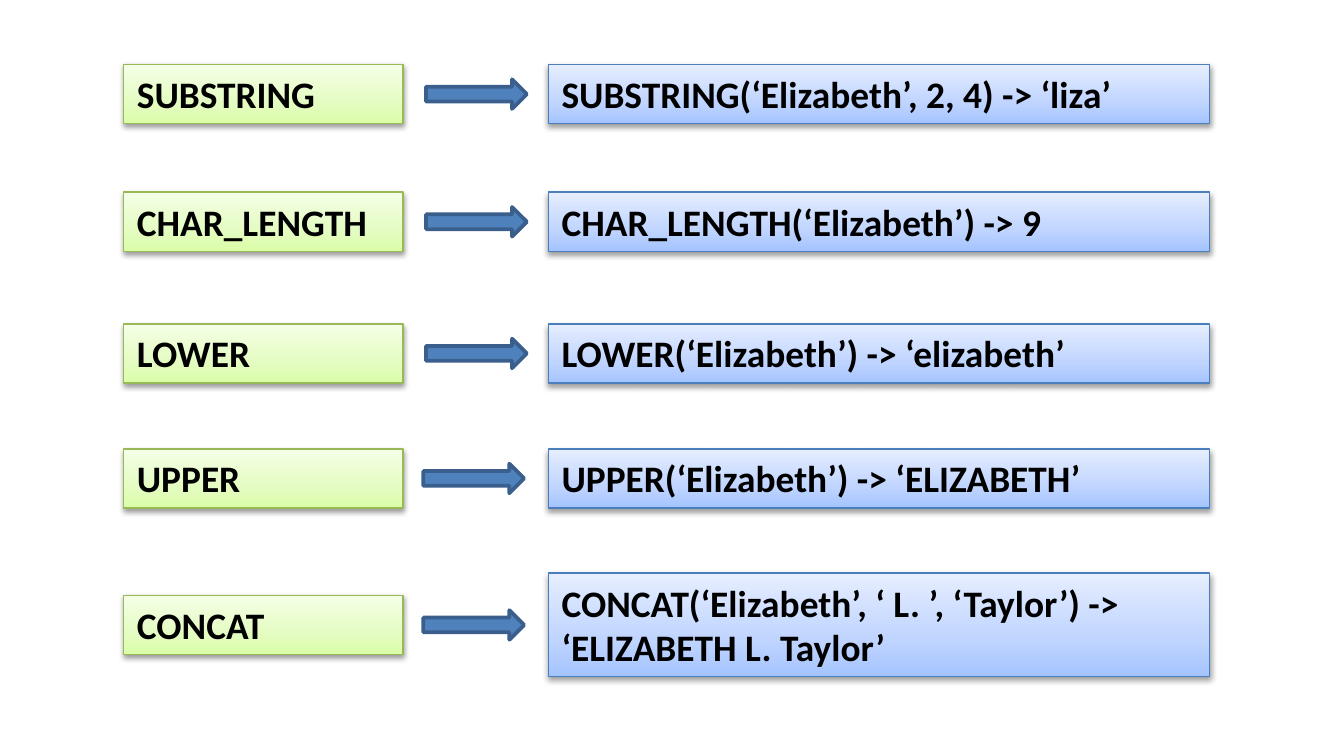
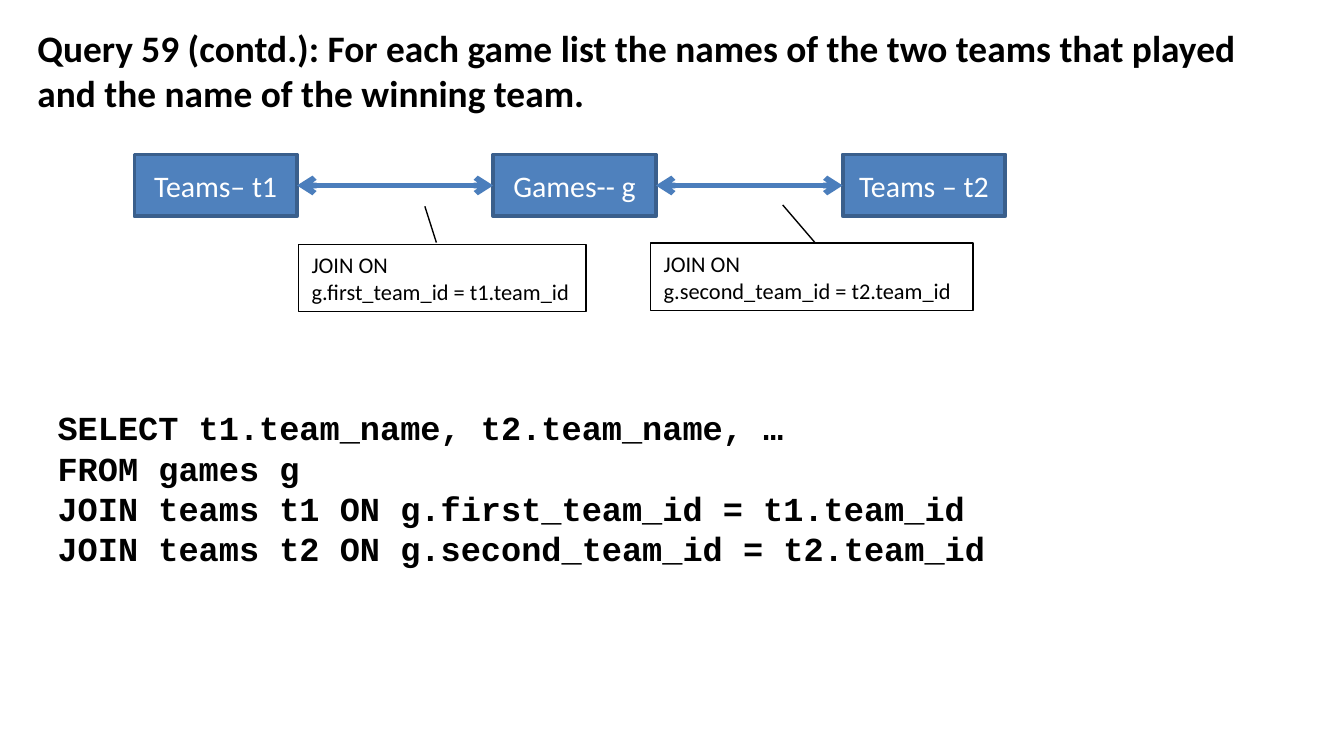
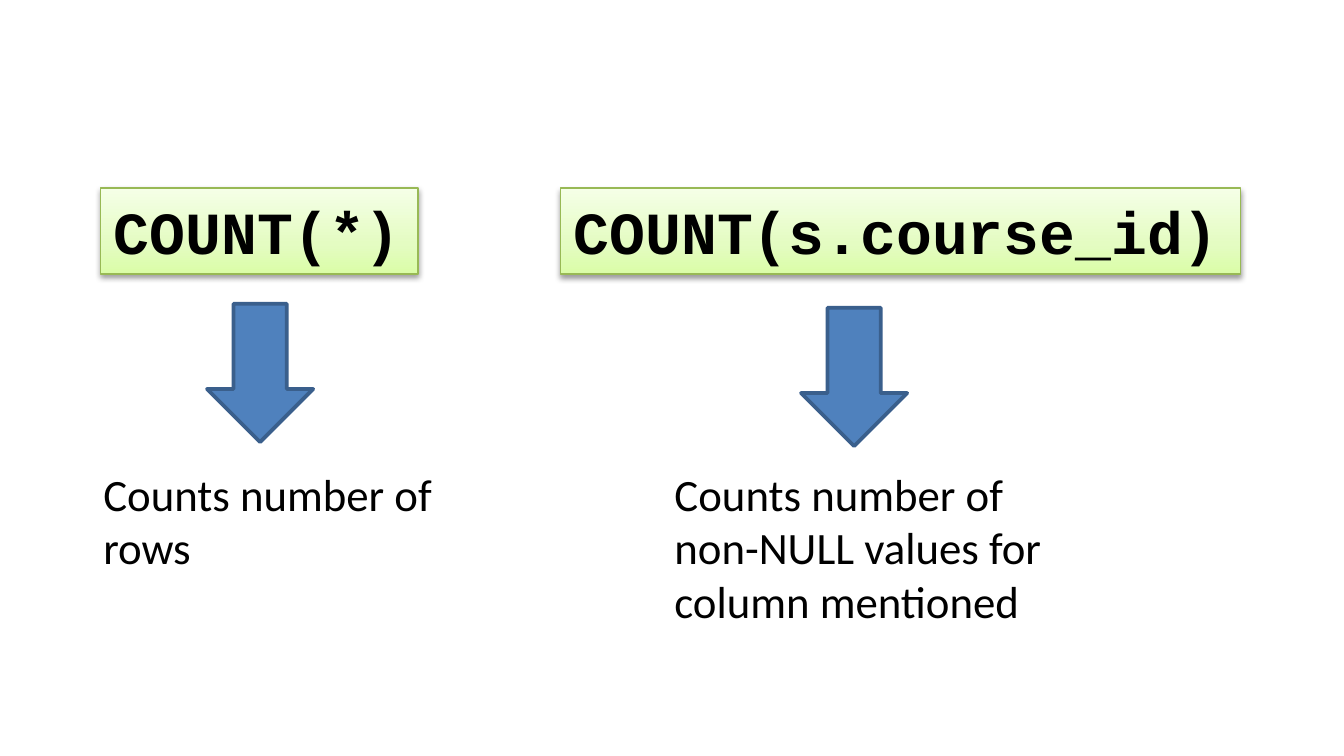
from pptx import Presentation
from pptx.dml.color import RGBColor
from pptx.enum.shapes import MSO_CONNECTOR, MSO_SHAPE
from pptx.enum.text import MSO_ANCHOR, MSO_AUTO_SIZE, PP_ALIGN
from pptx.oxml.ns import qn
from pptx.util import Inches, Pt
from lxml.etree import SubElement

# Shared look
BLACK = RGBColor(0x00, 0x00, 0x00)
WHITE = RGBColor(0xFF, 0xFF, 0xFF)
BLUE = RGBColor(0x4F, 0x81, 0xBD)
BLUE_EDGE = RGBColor(0x3A, 0x5F, 0x8C)
BLUE_LINE = RGBColor(0x4B, 0x7E, 0xBC)
GREEN_LINE = RGBColor(0x98, 0xB9, 0x55)
GREEN_SHADES = (RGBColor(0xDA, 0xFD, 0xA7), RGBColor(0xE4, 0xFC, 0xC2), RGBColor(0xF5, 0xFF, 0xE7))
BLUE_SHADES = (RGBColor(0xA4, 0xC4, 0xFF), RGBColor(0xBF, 0xD4, 0xFF), RGBColor(0xE6, 0xEE, 0xFF))
SHADE_STOPS = (0, 35, 100)
BODY_FONT = "Calibri"
CODE_FONT = "Courier New"


def write(shape, text, size, font=BODY_FONT, bold=False, color=BLACK, wrap=True, centered=False):
    """Fill a shape with text; centered labels keep their size, others fit their text."""
    frame = shape.text_frame
    frame.text = text
    frame.word_wrap = wrap
    frame.vertical_anchor = MSO_ANCHOR.MIDDLE if centered else MSO_ANCHOR.TOP
    frame.auto_size = MSO_AUTO_SIZE.NONE if centered else MSO_AUTO_SIZE.SHAPE_TO_FIT_TEXT
    for para in frame.paragraphs:
        para.alignment = PP_ALIGN.CENTER if centered else PP_ALIGN.LEFT
        for span in para.runs:
            span.font.size = Pt(size)
            span.font.name = font
            span.font.bold = bold
            span.font.color.rgb = color


def add_text(page, box, text, size, **style):
    write(page.shapes.add_textbox(*map(Inches, box)), text, size, **style)


def add_outlined(page, kind, box, line_color, line_width):
    shape = page.shapes.add_shape(kind, *map(Inches, box))
    shape.shadow.inherit = False
    shape.line.color.rgb = line_color
    shape.line.width = Pt(line_width)
    return shape


def add_solid(page, kind, box):
    shape = add_outlined(page, kind, box, BLUE_EDGE, 2)
    shape.fill.solid()
    shape.fill.fore_color.rgb = BLUE
    return shape


def add_shaded_box(page, box, text, size, shades, line_color, **style):
    """Rectangle with an upward gradient and a soft shadow below."""
    shape = add_outlined(page, MSO_SHAPE.RECTANGLE, box, line_color, 0.75)
    shape.fill.gradient()
    shape.fill.gradient_angle = 90
    properties = shape.element.spPr
    stops = properties.find(".//" + qn("a:gsLst"))
    stops.clear()
    for position, shade in zip(SHADE_STOPS, shades):
        stop = SubElement(stops, qn("a:gs"), pos=str(position * 1000))
        SubElement(stop, qn("a:srgbClr"), val=str(shade))
    shadow = SubElement(properties.find(qn("a:effectLst")), qn("a:outerShdw"),
                        blurRad=str(Pt(3.1)), dist=str(Pt(1.6)), dir="5400000", rotWithShape="0")
    tint = SubElement(shadow, qn("a:srgbClr"), val=str(BLACK))
    SubElement(tint, qn("a:alpha"), val="38000")
    write(shape, text, size, bold=True, **style)


def add_join_arrow(page, first, second):
    """Two-headed line from the right side of one box to the left side of the next."""
    arrow = page.shapes.add_connector(MSO_CONNECTOR.STRAIGHT, 0, 0, 0, 0)
    arrow.begin_connect(first, 3)
    arrow.end_connect(second, 1)
    arrow.line.color.rgb = BLUE_LINE
    arrow.line.width = Pt(3)
    properties = arrow.element.spPr
    for end in ("a:headEnd", "a:tailEnd"):
        SubElement(properties.find(qn("a:ln")), qn(end), type="arrow")
    SubElement(properties, qn("a:effectLst"))


def add_join_note(page, box, condition, pointer):
    note = add_outlined(page, MSO_SHAPE.LINE_CALLOUT_1, box, BLACK, 0.75)
    note.fill.background()
    for index, value in enumerate(pointer):
        note.adjustments[index] = value
    write(note, "JOIN ON\n" + condition, 12, wrap=False)


def add_function_row(page, top, arrow_left, name, example, result_height=0.44):
    """Function name, arrow and example, all centred on one line."""
    height = 0.44
    add_shaded_box(page, (0.92, top, 2.08, height), name, 20, GREEN_SHADES, GREEN_LINE)
    result_top = top + (height - result_height) / 2
    add_shaded_box(page, (4.08, result_top, 4.92, result_height), example, 20,
                   BLUE_SHADES, BLUE_LINE)
    add_solid(page, MSO_SHAPE.RIGHT_ARROW, (arrow_left, top + 0.11, 0.75, 0.22))


def build_string_functions(page):
    add_function_row(page, 0.48, 3.17, "SUBSTRING", "SUBSTRING(‘Elizabeth’, 2, 4) -> ‘liza’")
    add_function_row(page, 1.43, 3.17, "CHAR_LENGTH", "CHAR_LENGTH(‘Elizabeth’) -> 9")
    add_function_row(page, 2.41, 3.17, "LOWER", "LOWER(‘Elizabeth’) -> ‘elizabeth’")
    add_function_row(page, 3.34, 3.15, "UPPER", "UPPER(‘Elizabeth’) -> ‘ELIZABETH’")
    add_function_row(page, 4.43, 3.15, "CONCAT",
                     "CONCAT(‘Elizabeth’, ‘ L. ’, ‘Taylor’) -> ‘ELIZABETH L. Taylor’", 0.77)


def build_join_query(page):
    add_text(page, (0.18, 0.14, 9.58, 0.77),
             "Query 59 (contd.): For each game list the names of the two teams that played "
             "and the name of the winning team.", 20, bold=True)

    # Tables and the joins between them
    tables = []
    for left, label in ((1, "Teams– t1"), (3.67, "Games-- g"), (6.27, "Teams – t2")):
        table = add_solid(page, MSO_SHAPE.RECTANGLE, (left, 1.15, 1.21, 0.46))
        write(table, label, 16, color=WHITE, centered=True)
        tables.append(table)
    for first, second in zip(tables, tables[1:]):
        add_join_arrow(page, first, second)
    add_join_note(page, (2.22, 1.82, 2.14, 0.5), "g.first_team_id = t1.team_id",
                  (-0.03, 0.48, -0.57, 0.44))
    add_join_note(page, (4.84, 1.81, 2.4, 0.5), "g.second_team_id = t2.team_id",
                  (-0.01, 0.51, -0.57, 0.41))

    # Query
    query = ("SELECT t1.team_name, t2.team_name, …",
             "FROM games g",
             "JOIN teams t1 ON g.first_team_id = t1.team_id",
             "JOIN teams t2 ON g.second_team_id = t2.team_id")
    add_text(page, (0.33, 2.98, 9.42, 1.62), "\n".join(query), 18, font=CODE_FONT, bold=True)


def add_count_column(page, left, width, code, arrow_box, note_box, meaning):
    """Expression on top, arrow down to its meaning; inner boxes are relative to the column."""
    top = 1.4
    add_shaded_box(page, (left, top, width, 0.64), code, 32, GREEN_SHADES, GREEN_LINE,
                   font=CODE_FONT, wrap=False)
    arrow_x, arrow_y = arrow_box
    add_solid(page, MSO_SHAPE.DOWN_ARROW, (left + arrow_x, top + arrow_y, 0.79, 1.03))
    note_x, note_height = note_box
    add_text(page, (left + note_x, top + 2.02, 3.25, note_height), meaning, 24)


def build_count_comparison(page):
    add_count_column(page, 0.75, 2.36, "COUNT(*)", (0.79, 0.86), (-0.08, 0.91),
                     "Counts number of rows")
    add_count_column(page, 4.17, 5.06, "COUNT(s.course_id)", (1.79, 0.89), (0.75, 1.31),
                     "Counts number of non-NULL values for column mentioned")


def main():
    deck = Presentation()
    deck.slide_width = Inches(10)
    deck.slide_height = Inches(10) * 9 // 16
    for build in (build_string_functions, build_join_query, build_count_comparison):
        build(deck.slides.add_slide(deck.slide_layouts[6]))
    deck.save("out.pptx")


if __name__ == "__main__":
    main()
